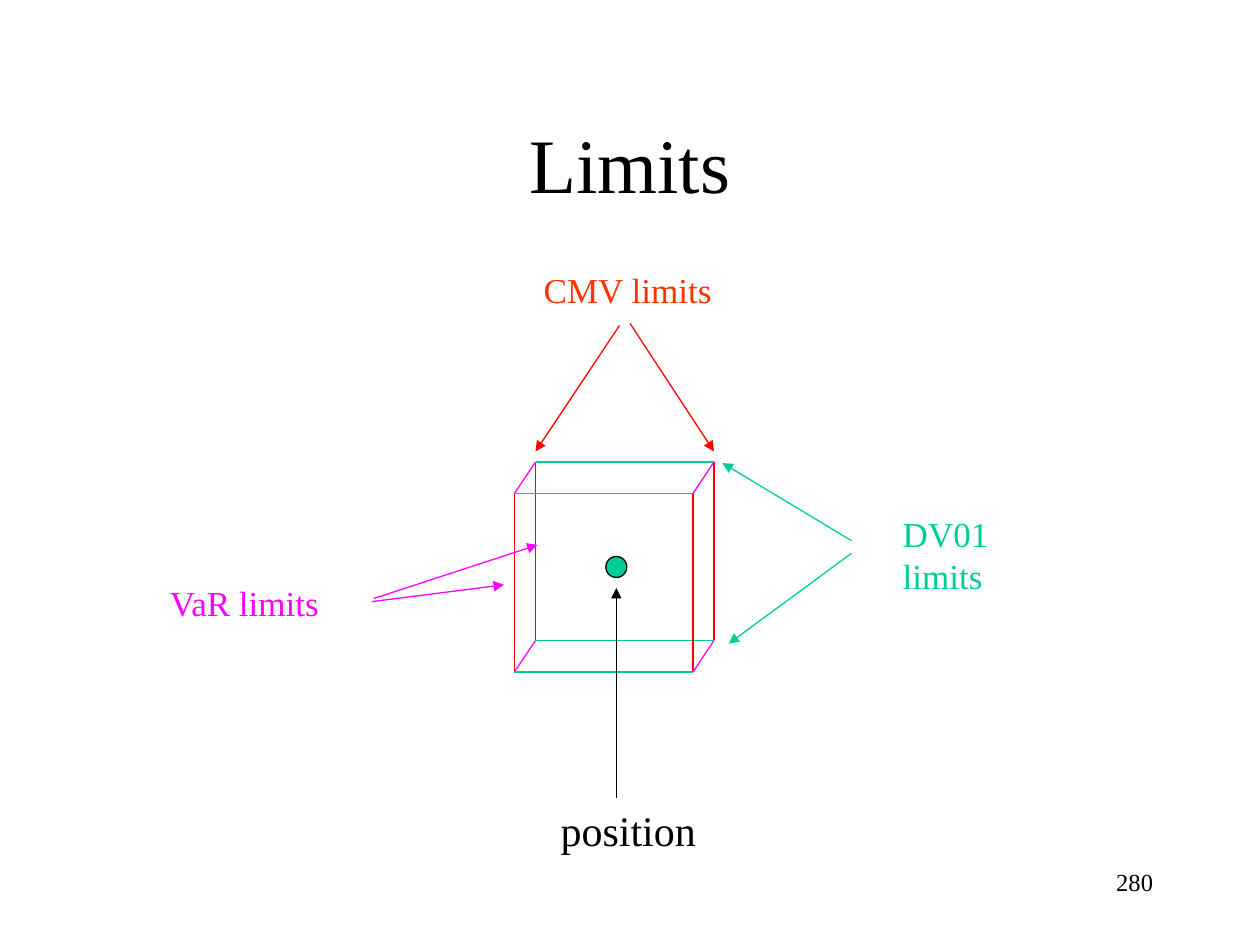
"""Build the Limits slide: a position inside a box of CMV, DV01 and VaR limits."""
from dataclasses import dataclass
from itertools import product

from lxml import etree
from pptx import Presentation
from pptx import util as u
from pptx.dml.color import RGBColor
from pptx.enum import shapes, text
from pptx.oxml.ns import qn


@dataclass(frozen=True)
class Theme:
    font: str = "Times New Roman"
    ink: str = "000000"
    cmv: str = "FF0000"
    cmv_label: str = "FF3300"
    dv01: str = "00CC99"
    var: str = "FF00FF"
    title: int = 44
    position: int = 24
    label: int = 20
    number: int = 14
    line: float = 0.75


theme = Theme()
prs = Presentation()
prs.slide_width, prs.slide_height = u.Inches(10), u.Inches(7.5)
cell = prs.slide_width // 120
slide = prs.slides.add_slide(prs.slide_layouts[5])


def draw_line(start, end, color, arrow=False):
    """Join two grid points, with an arrowhead at the end if asked."""
    ends = [round(n * cell) for n in (*start, *end)]
    line = slide.shapes.add_connector(shapes.MSO_CONNECTOR.STRAIGHT, *ends)
    line.line.color.rgb = RGBColor.from_string(color)
    line.line.width = u.Pt(theme.line)
    if arrow:
        etree.SubElement(line.line._get_or_add_ln(), qn("a:tailEnd"), type="triangle")
    etree.SubElement(line._element.spPr, qn("a:effectLst"))


def write(frame, words, size, color, align):
    """Put one formatted paragraph in a text frame."""
    frame.text = words
    paragraph = frame.paragraphs[0]
    paragraph.alignment = align
    font = paragraph.runs[0].font
    font.name, font.size = theme.font, u.Pt(size)
    font.color.rgb = RGBColor.from_string(color)


heading = slide.shapes.title
heading.left, heading.top, heading.width, heading.height = [n * cell for n in (9, 8, 102, 15)]
heading.text_frame.vertical_anchor = text.MSO_ANCHOR.MIDDLE
write(heading.text_frame, "Limits", theme.title, theme.ink, text.PP_ALIGN.CENTER)

side = 17
back, front = (51, 44), (49, 47)
for left, top in (back, front):
    for step in (0, side):
        draw_line((left + step, top), (left + step, top + side), theme.cmv)
        draw_line((left, top + step), (left + side, top + step), theme.dv01)
for across, down in product((0, side), repeat=2):
    draw_line((back[0] + across, back[1] + down),
              (front[0] + across, front[1] + down), theme.var)

position = slide.shapes.add_shape(
    shapes.MSO_SHAPE.OVAL, *[round(n * cell) for n in (57.7, 53, 2, 2)])
position.shadow.inherit = False
position.fill.solid()
position.fill.fore_color.rgb = RGBColor.from_string(theme.dv01)
position.line.color.rgb = RGBColor.from_string(theme.ink)
position.line.width = u.Pt(theme.line)

pointers = [
    ((58.7, 76), (58.7, 56), theme.ink),
    ((59, 31), (51, 43), theme.cmv),
    ((60, 30.8), (68, 43), theme.cmv),
    ((81.1, 51.5), (68.8, 44.1), theme.dv01),
    ((81.1, 52.7), (69.4, 61.3), theme.dv01),
    ((35.4, 57.3), (48, 55.7), theme.var),
    ((35.6, 57), (51.2, 51.9), theme.var),
]
for start, end, color in pointers:
    draw_line(start, end, color, arrow=True)

LEFT, RIGHT = text.PP_ALIGN.LEFT, text.PP_ALIGN.RIGHT
labels = [
    ("position", (52.2, 76, 15.3, 6), theme.position, theme.ink, LEFT, 0.1, False),
    ("CMV limits", (50.6, 25, 18.4, 5.2), theme.label, theme.cmv_label, LEFT, 0.1, False),
    ("DV01 limits", (84.8, 48.2, 19, 5.2), theme.label, theme.dv01, LEFT, 0.5, True),
    ("VaR limits", (15, 54.8, 17, 5.2), theme.label, theme.var, LEFT, 0.1, False),
    ("280", (86, 82, 25, 6), theme.number, theme.ink, RIGHT, 0.1, True),
]
for words, area, size, color, align, inset, wrap in labels:
    label = slide.shapes.add_textbox(*[round(n * cell) for n in area])
    label.text_frame.word_wrap = wrap
    if not wrap:
        label.text_frame.auto_size = text.MSO_AUTO_SIZE.SHAPE_TO_FIT_TEXT
    label.text_frame.margin_right = u.Inches(inset)
    write(label.text_frame, words, size, color, align)

prs.save("out.pptx")
